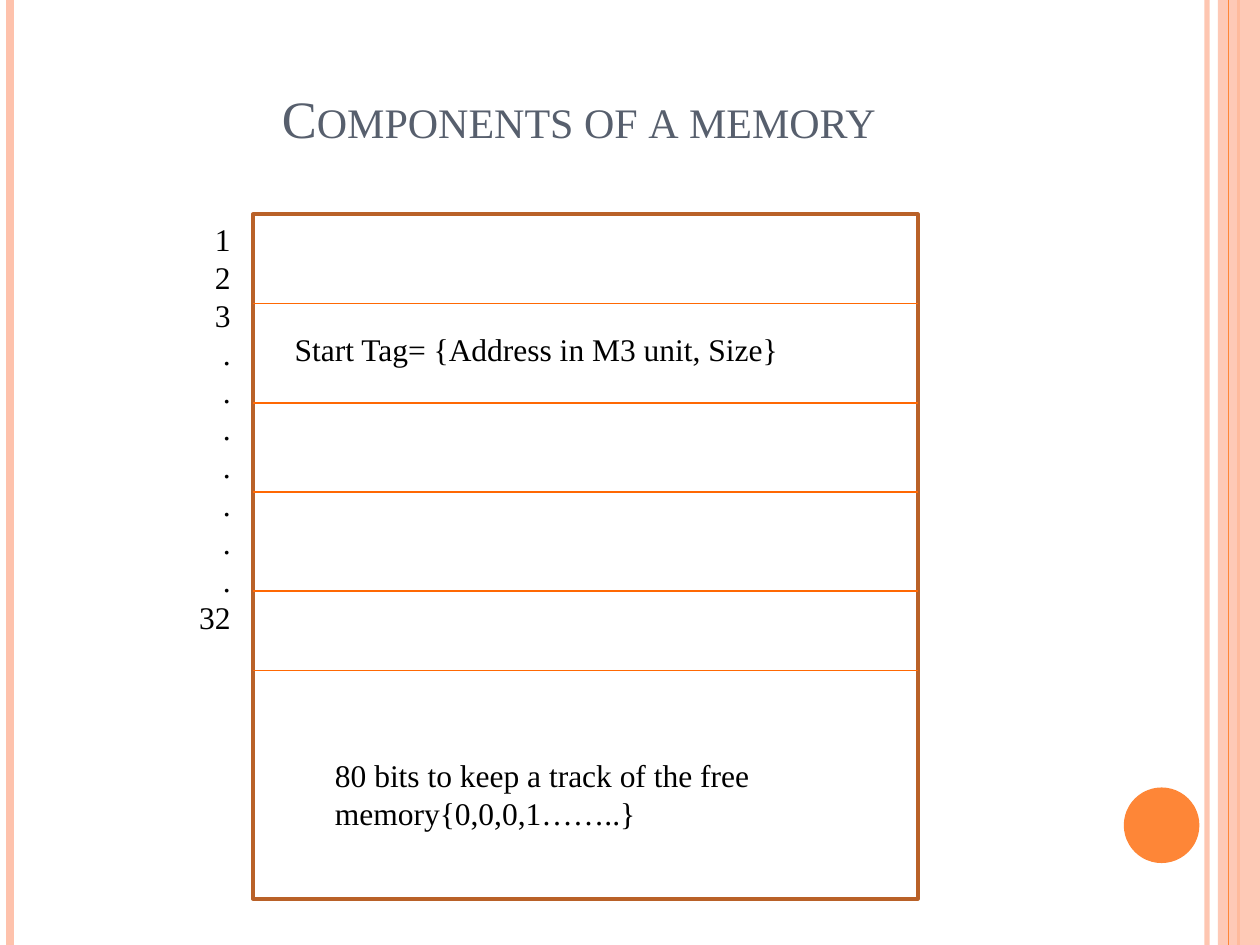
from lxml.etree import SubElement
from pptx import Presentation
from pptx.dml.color import RGBColor
from pptx.enum.shapes import MSO_CONNECTOR as Link, MSO_SHAPE as Form
from pptx.enum.text import MSO_ANCHOR as Anchor, PP_ALIGN as Align
from pptx.oxml.ns import qn
from pptx.util import Pt

HUES = {
    "peach": "FEC2AC",
    "orange": "FE8637",
    "row": "FF6803",
    "frame": "B96128",
    "title": "575F6D",
    "text": "000000",
}
FONT = "Times New Roman"
WIDE, HIGH = 720, 540


def hue(name):
    return RGBColor.from_string(HUES[name])


def fade(paint, share):
    tint = paint._xPr.find(".//" + qn("a:srgbClr"))
    SubElement(tint, qn("a:alpha")).set("val", str(share * 1000))


def add_line(slide, x1, y1, x2, y2, color, width, share=100):
    line = slide.shapes.add_connector(
        Link.STRAIGHT, Pt(x1), Pt(y1), Pt(x2), Pt(y2))
    line.line.width = Pt(width)
    line.line.color.rgb = hue(color)
    props = line._element.spPr
    SubElement(props, qn("a:effectLst"))
    if share < 100:
        fade(line.line.fill, share)


def add_form(slide, form, box, fill=None, edge=None, width=1, share=100):
    shape = slide.shapes.add_shape(form, *map(Pt, box))
    shape.shadow.inherit = False
    if fill:
        shape.fill.solid()
        shape.fill.fore_color.rgb = hue(fill)
        if share < 100:
            fade(shape.fill, share)
    else:
        shape.fill.background()
    if edge:
        shape.line.color.rgb = hue(edge)
        shape.line.width = Pt(width)
    else:
        shape.line.fill.background()


def add_text(slide, box, lines, size=18, color="text", align=Align.LEFT,
             anchor=Anchor.TOP, pitch=21.6, caps=False):
    frame = slide.shapes.add_textbox(*map(Pt, box)).text_frame
    frame.word_wrap = True
    frame.vertical_anchor = anchor
    for i, line in enumerate(lines):
        para = frame.add_paragraph() if i else frame.paragraphs[0]
        para.alignment = align
        if pitch:
            para.line_spacing = Pt(pitch)
        run = para.add_run()
        run.text = line
        run.font.name = FONT
        run.font.size = Pt(size)
        run.font.color.rgb = hue(color)
        if caps:
            run.font._element.set("cap", "small")


def add_trim(slide):
    add_line(slide, 689.8, 0, 689.8, HIGH, "peach", 3, 93)
    add_line(slide, 5.8, 0, 5.8, HIGH, "peach", 4.5)
    add_line(slide, 707.8, 0, 707.8, HIGH, "orange", 1.5)
    add_form(slide, Form.RECTANGLE, (696, 0, 24, HIGH), "peach", share=87)
    add_line(slide, 702, 0, 702, HIGH, "orange", 0.75)
    add_form(slide, Form.OVAL, (642.2, 450, 43.2, 43.2), "orange")


def add_memory(slide):
    left, top, width, height = 144.6, 122.4, 379.9, 391.2
    add_form(slide, Form.RECTANGLE, (left, top, width, height),
             edge="frame", width=2)
    for y in (173.5, 230.3, 281.3, 337.9, 383.2):
        add_line(slide, left, y, left + width, y, "row", 1)
    marks = ["1", "2", "3"] + ["."] * 7 + ["32"]
    add_text(slide, (36.7, top, 102.2, 247), marks, align=Align.RIGHT)
    add_text(slide, (161.3, 185, 345.6, 28.8),
             ["Start Tag= {Address in M3 unit, Size}"])
    add_text(slide, (184.3, 428.4, 323.3, 51.1),
             ["80 bits to keep a track of the free memory{0,0,0,1……..}"])


def main():
    deck = Presentation()
    deck.slide_width, deck.slide_height = Pt(WIDE), Pt(HIGH)
    slide = deck.slides.add_slide(deck.slide_layouts[6])
    add_trim(slide)
    add_text(slide, (36.7, 25.9, 588.2, 62.6), ["Components of a memory"],
             30, "title", Align.CENTER, Anchor.BOTTOM, None, True)
    add_memory(slide)
    deck.save("out.pptx")


if __name__ == "__main__":
    main()
